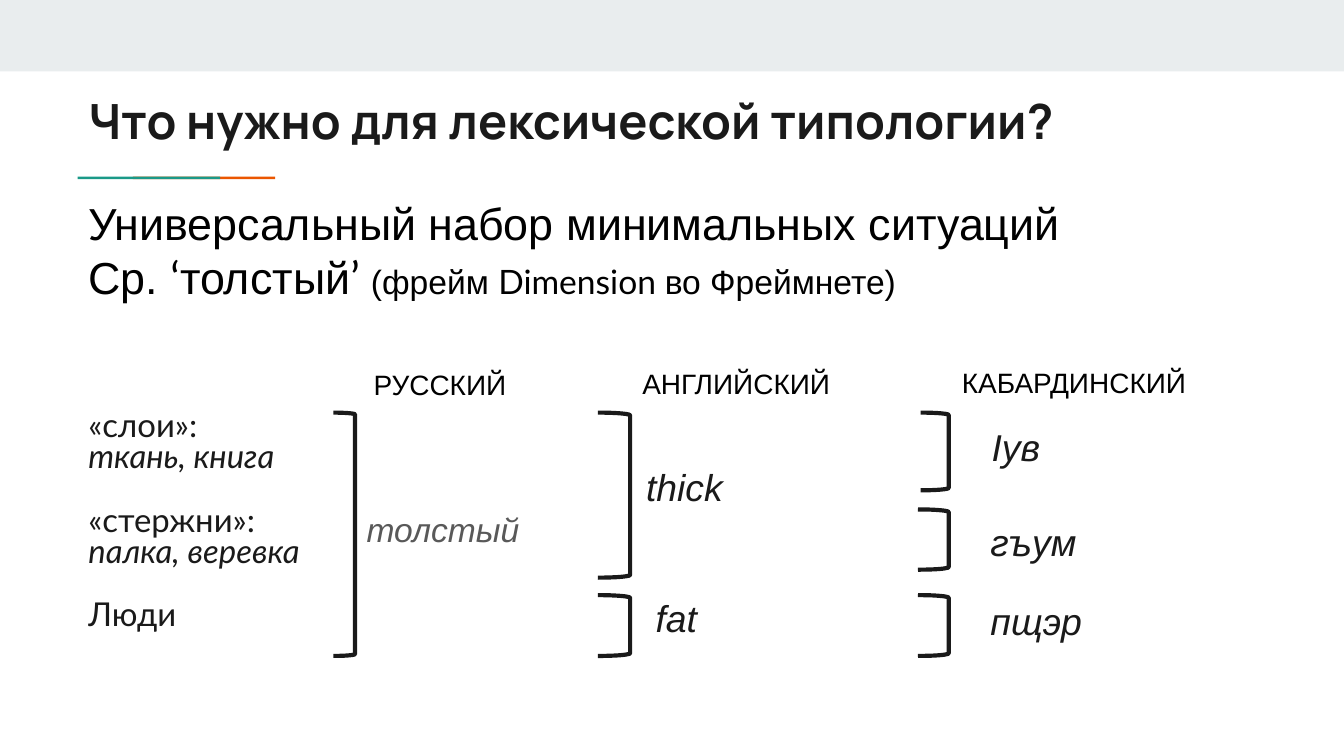
from lxml.etree import SubElement
from pptx import Presentation
from pptx.dml.color import RGBColor
from pptx.enum.shapes import MSO_SHAPE as Shape
from pptx.enum.text import MSO_ANCHOR as Anchor, MSO_AUTO_SIZE as Fit, PP_ALIGN as Align
from pptx.oxml.ns import qn
from pptx.util import Cm, Pt

INK = RGBColor(0x1A, 0x1A, 0x1A)
BLACK = RGBColor(0, 0, 0)
GREY = RGBColor(0x59, 0x59, 0x59)
PALE = RGBColor(0xE9, 0xED, 0xEE)
TEAL = RGBColor(0x1A, 0x99, 0x88)
ORANGE = RGBColor(0xEB, 0x56, 0x00)

# Content
TITLE = "Что нужно для лексической типологии?"
INTRO = [
    [("Универсальный набор минимальных ситуаций", "Arial", 24)],
    [("Ср. ", "Arial", 24), ("‘", "Lato", 24), ("толстый", "Arial", 24),
     ("’ ", "Lato", 24), ("(фрейм ", "Arial", 18),
     ("Dimension ", "Lato", 18), ("во Фреймнете)", "Arial", 18)],
]
GROUPS = [("«слои»:", "ткань, книга"), ("«стержни»:", "палка, веревка"), ("Люди",)]

# Language heads: text, left, top, width
HEADS = [
    ("РУССКИЙ", 6.81, 6.83, 3.94),
    ("АНГЛИЙСКИЙ", 11.89, 6.81, 4.9),
    ("КАБАРДИНСКИЙ", 17.93, 6.78, 5.44),
]
# Words: text, left, top, width, size, colour
WORDS = [
    ("толстый", 6.68, 9.5, 5.11, 18, GREY),
    ("thick", 11.96, 8.64, 2.9, 20, INK),
    ("fat", 12.14, 11.13, 1.96, 20, INK),
    ("Iув", 18.49, 7.9, 2.46, 20, INK),
    ("гъум", 18.47, 9.68, 2.46, 20, INK),
    ("пщэр", 18.47, 11.18, 3.18, 20, INK),
]
# Brackets by column: right edge, then (width, top, bottom) of each
TOP, LAST, END = 7.8, 11.25, 12.4
BRACKETS = [
    (6.71, [(0.41, TOP, END)]),
    (11.91, [(0.61, TOP, 10.92), (0.61, LAST, END)]),
    (17.93, [(0.53, TOP, 9.27), (0.58, 9.63, 10.77), (0.58, LAST, END)]),
]
# Bars: left, top, width, height, colour
BARS = [
    (0, 0, 25.4, 1.35, PALE),
    (2.51, 3.34, 2.69, 0.05, ORANGE),
    (1.47, 3.34, 2.69, 0.05, TEAL),
]


def put(kind, x, y, w, h):
    item = slide.shapes.add_shape(kind, Cm(x), Cm(y), Cm(w), Cm(h))
    item.shadow.inherit = False
    return item


def write(para, text, color, name, size, **more):
    run = para.add_run()
    run.text = text
    run.font.color.rgb = color
    for key, value in dict(name=name, size=Pt(size), **more).items():
        setattr(run.font, key, value)


def label(x, y, w, h):
    box = slide.shapes.add_textbox(Cm(x), Cm(y), Cm(w), Cm(h))
    box.text_frame.word_wrap = True
    box.text_frame.auto_size = Fit.SHAPE_TO_FIT_TEXT
    return box.text_frame


def place(holder, x, y, w, h):
    spots = dict(left=x, top=y, width=w, height=h)
    for key, value in spots.items():
        setattr(holder, key, Cm(value))
    frame = holder.text_frame
    style = dict(word_wrap=True, auto_size=Fit.NONE, vertical_anchor=Anchor.TOP)
    style.update({"margin_" + side: Cm(0.25) for side in spots if side in ("left", "top")})
    style.update(margin_right=Cm(0.25), margin_bottom=Cm(0.25))
    for key, value in style.items():
        setattr(frame, key, value)
    return frame


deck = Presentation()
deck.slide_width, deck.slide_height = Cm(25.4), Cm(14.29)
slide = deck.slides.add_slide(deck.slide_layouts[1])

# Band and title rule
for x, y, w, h, color in BARS:
    bar = put(Shape.RECTANGLE, x, y, w, h)
    bar.fill.solid()
    bar.fill.fore_color.rgb = color
    bar.line.fill.background()

# Title
para = place(slide.shapes.title, 1.42, 1.47, 21.36, 1.5).paragraphs[0]
para.alignment = Align.LEFT
write(para, TITLE, INK, "Manrope", 26, bold=True)

# Situations: a group name, then its examples in italics
frame = place(slide.placeholders[1], 1.42, 7.54, 21.36, 5.16)
for g, group in enumerate(GROUPS):
    for n, text in enumerate(group):
        para = frame.add_paragraph() if g or n else frame.paragraphs[0]
        props = para._p.get_or_add_pPr()
        props.set("marL", "0")
        props.set("indent", "0")
        SubElement(props, qn("a:buNone"))
        para.line_spacing = 0.8
        para.space_before = Pt(17 if g and not n else 0)
        write(para, text, INK, "Lato", 17.6, italic=n > 0)

# Brackets
for right, parts in BRACKETS:
    for w, top, end in parts:
        mark = put(Shape.RIGHT_BRACKET, right - w, top, w, end - top)
        mark.fill.background()
        mark.line.color.rgb = INK
        mark.line.width = Pt(2.25)

# Words and language heads
for text, x, y, w, size, color in WORDS:
    write(label(x, y, w, 1.1).paragraphs[0], text, color, "Arial", size, italic=True)
for text, x, y, w in HEADS:
    write(label(x, y, w, 0.9).paragraphs[0], text, BLACK, "Arial", 15)

# Introduction
frame = label(1.42, 3.58, 22.25, 2.31)
for n, line in enumerate(INTRO):
    para = frame.add_paragraph() if n else frame.paragraphs[0]
    for text, name, size in line:
        write(para, text, BLACK, name, size)

deck.save("out.pptx")
